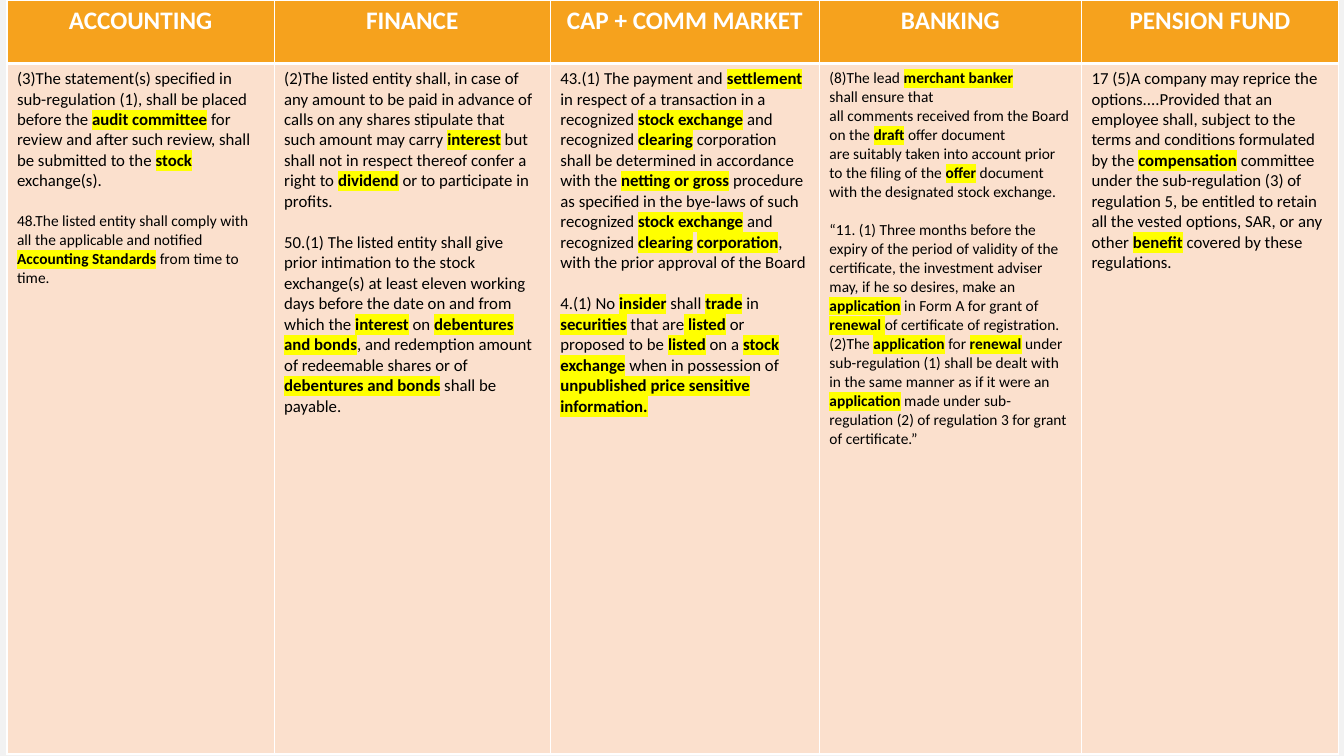
from lxml import etree
from pptx import Presentation
from pptx.dml.color import RGBColor
from pptx.enum.text import PP_ALIGN
from pptx.oxml.ns import qn
from pptx.util import Pt

FONT = "Calibri"
WHITE, BLACK, YELLOW = "FFFFFF", "000000", "FFFF00"
ORANGE, PEACH, GREY = "F6A21D", "FBE0CD", "F2F2F2"
HARD_SPACE = chr(160)
HEADER_HEIGHT, BODY_HEIGHT = 45.4, 493.2

# Heading, column width, paragraphs as (size, space before, text).
# *word* is a highlighted key term; ~ is a space that does not break.
COLUMNS = [
    ("ACCOUNTING", 190.8, [
        (12, 0, "(3)The statement(s) specified in sub-regulation (1), shall be placed before the "
                "*audit committee* for review and after such review, shall be submitted to the "
                "*stock* exchange(s)."),
        (11, 14.6, "48.The listed entity shall comply with all the applicable and notified "
                   "*Accounting Standards* from time to time."),
    ]),
    ("FINANCE", 197.3, [
        (12, 0, "(2)The listed entity shall, in case of any amount to be paid in advance of calls "
                "on any shares stipulate that such amount may carry *interest* but shall not in "
                "respect thereof confer a right to *dividend* or to participate in profits."),
        (12, 14.6, "50.(1) The listed entity shall give prior intimation to the stock exchange(s) "
                   "at least eleven working days before the date on and from which the *interest* "
                   "on *debentures and bonds*, and redemption amount of redeemable shares or of "
                   "*debentures and bonds* shall be payable."),
    ]),
    ("CAP + COMM MARKET", 192.2, [
        (12, 0, "43.(1) The payment and *settlement* in respect of a transaction in a recognized "
                "*stock exchange* and recognized *clearing* corporation shall be determined in "
                "accordance with the *netting or gross* procedure as specified in the bye-laws of "
                "such recognized *stock exchange* and recognized *clearing* *corporation*, with "
                "the prior approval of the Board"),
        (12, 14.6, "4.(1) No *insider* shall *trade* in *securities* that are* listed* or proposed "
                   "to be *listed* on a *stock exchange* when in possession of "
                   "*unpublished price sensitive information.*"),
    ]),
    ("BANKING", 187.2, [
        (11, 0, "(8)The lead~*merchant~banker* shall~ensure that all~comments~received from~the "
                "Board on~the *draft* offer~document are~suitably~taken~into account~prior to "
                "the~filing of the *offer*~document with~the~designated~stock~exchange."),
        (11, 13.4, "“11. (1) Three months before the expiry of the period of validity of the "
                   "certificate, the investment adviser may, if he so desires, make an "
                   "*application* in Form A for grant of *renewal *of certificate of "
                   "registration."),
        (11, 0, "(2)The *application* for *renewal* under sub-regulation (1) shall be dealt with "
                "in the same manner as if it were an *application* made under sub-regulation (2) "
                "of regulation 3 for grant of certificate.”"),
    ]),
    ("PENSION FUND", 183.6, [
        (12, 0, "17~(5)A company may reprice the options....Provided that an employee shall, "
                "subject to the terms and conditions formulated by the *compensation* committee "
                "under the sub-regulation (3) of regulation 5, be entitled to retain all the "
                "vested options, SAR, or any other *benefit* covered by these regulations."),
    ]),
]


def rgb(color):
    return RGBColor.from_string(color)


def solid_fill(parent, color):
    fill = etree.SubElement(parent, qn("a:solidFill"))
    etree.SubElement(fill, qn("a:srgbClr"), val=color)


def format_run(r, size, color, bold):
    r.font.name = FONT
    r.font.size = Pt(size)
    r.font.bold = bold
    r.font.color.rgb = rgb(color)


def highlight(r, color):
    mark = etree.Element(qn("a:highlight"))
    etree.SubElement(mark, qn("a:srgbClr"), val=color)
    r.font._element.find(qn("a:solidFill")).addnext(mark)


def style_cell(cell, fill, top, bottom):
    """Fill the cell and give it white borders; top and bottom are line widths."""
    cell.fill.solid()
    cell.fill.fore_color.rgb = rgb(fill)
    tcPr = cell._tc.get_or_add_tcPr()
    for i, (side, width) in enumerate(zip("LRTB", (1, 1, top, bottom))):
        ln = etree.Element(qn(f"a:ln{side}"), w=str(Pt(width)))
        solid_fill(ln, WHITE)
        tcPr.insert(i, ln)


def fill_header(cell, heading):
    style_cell(cell, ORANGE, 1, 3)
    p = cell.text_frame.paragraphs[0]
    p.text = heading
    p.alignment = PP_ALIGN.CENTER
    format_run(p.runs[0], 18, WHITE, True)


def fill_body(cell, paragraphs):
    style_cell(cell, PEACH, 3, 1)
    tf = cell.text_frame
    for i, (size, gap, text) in enumerate(paragraphs):
        p = tf.add_paragraph() if i else tf.paragraphs[0]
        p.space_before = Pt(gap)
        for j, part in enumerate(text.replace("~", HARD_SPACE).split("*")):
            if not part:
                continue
            r = p.add_run()
            r.text = part
            key_term = j % 2 == 1
            format_run(r, size, BLACK, key_term)
            if key_term:
                highlight(r, YELLOW)


def add_regulation_table(s):
    width = sum(column[1] for column in COLUMNS)
    table = s.shapes.add_table(2, len(COLUMNS), Pt(5), Pt(0), Pt(width),
                               Pt(HEADER_HEIGHT + BODY_HEIGHT)).table
    table.horz_banding = False
    table.rows[0].height = Pt(HEADER_HEIGHT)
    table.rows[1].height = Pt(BODY_HEIGHT)
    for i, (heading, column_width, paragraphs) in enumerate(COLUMNS):
        table.columns[i].width = Pt(column_width)
        fill_header(table.cell(0, i), heading)
        fill_body(table.cell(1, i), paragraphs)


def main():
    prs = Presentation()
    prs.slide_width, prs.slide_height = Pt(960), Pt(540)
    s = prs.slides.add_slide(prs.slide_layouts[6])
    s.background.fill.solid()
    s.background.fill.fore_color.rgb = rgb(GREY)
    add_regulation_table(s)
    prs.save("out.pptx")


if __name__ == "__main__":
    main()
